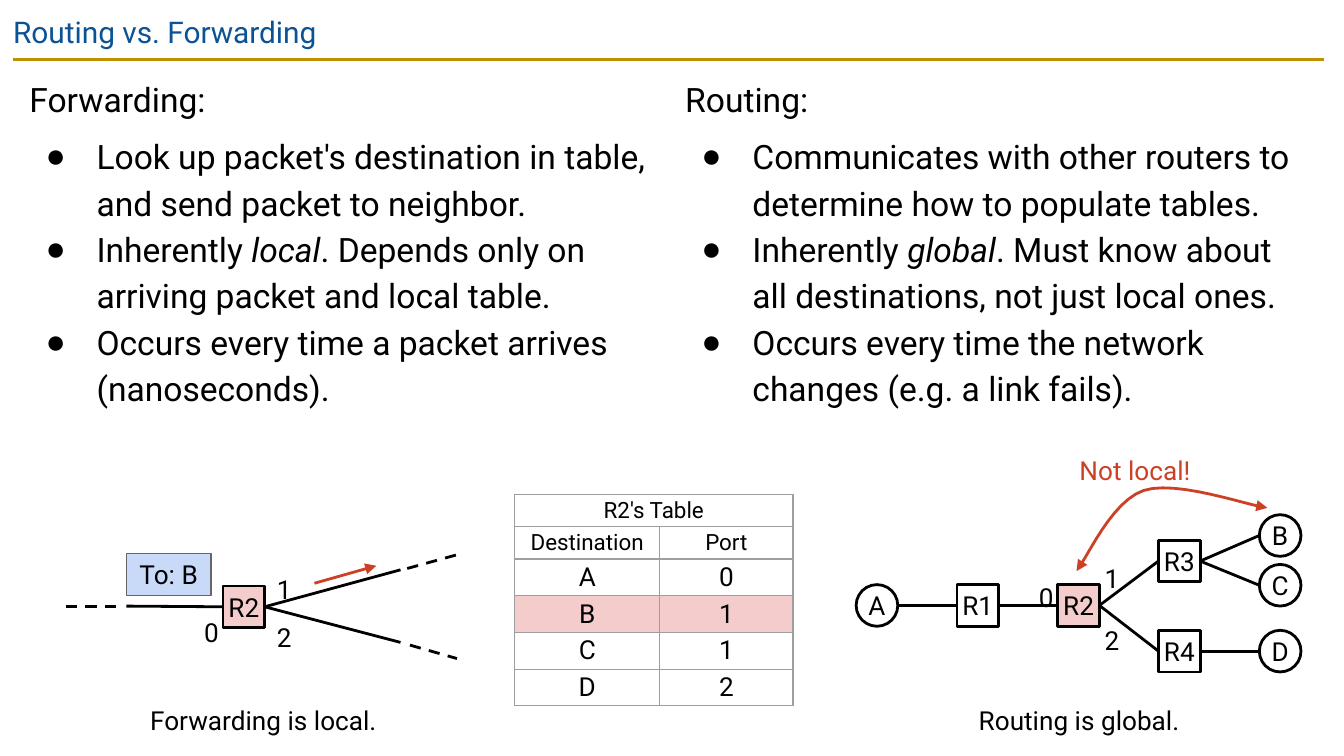
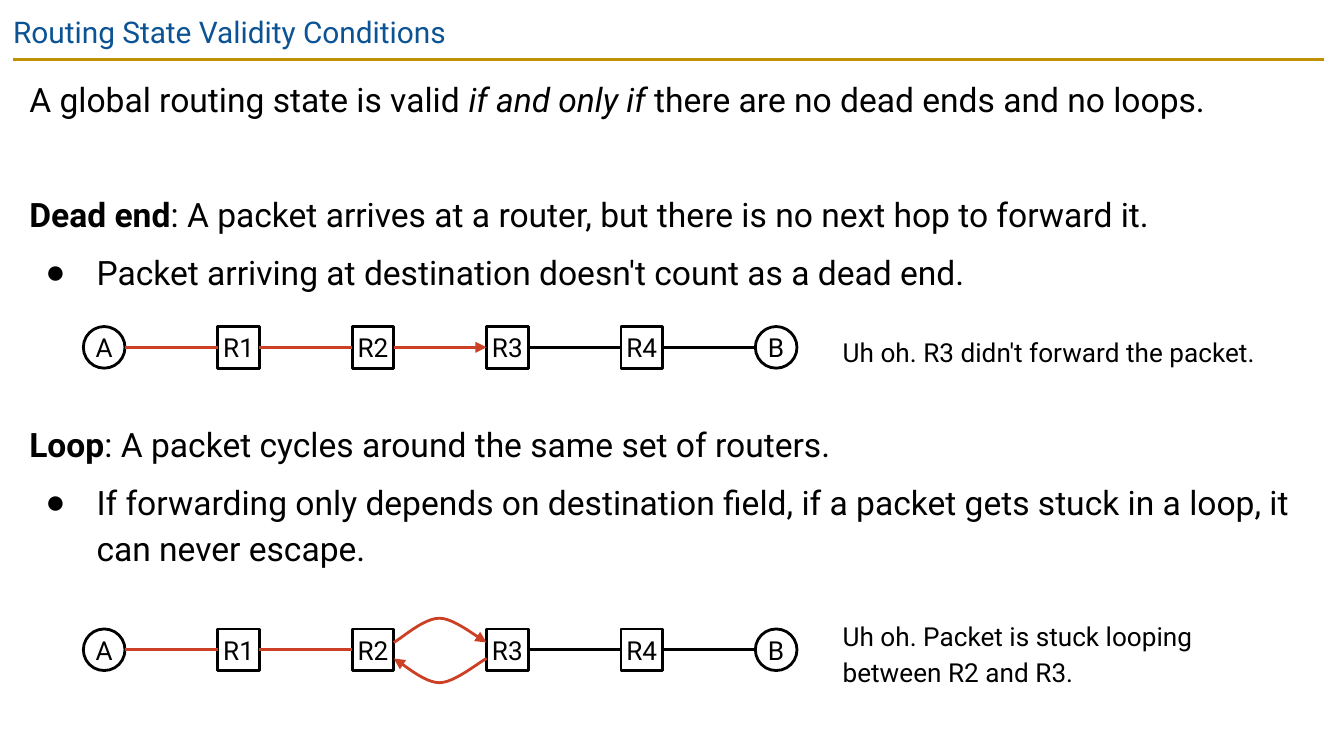
"""Build two slides on routing, forwarding and routing state validity."""
from lxml import etree
from pptx import Presentation
from pptx.dml.color import RGBColor
from pptx.enum.dml import MSO_LINE
from pptx.enum.shapes import MSO_CONNECTOR, MSO_SHAPE
from pptx.enum.text import MSO_ANCHOR, PP_ALIGN
from pptx.oxml.ns import qn
from pptx.util import Inches, Pt

STRAIGHT = MSO_CONNECTOR.STRAIGHT
RECT, OVAL = MSO_SHAPE.RECTANGLE, MSO_SHAPE.OVAL
DASH = MSO_LINE.DASH
TOP, MIDDLE = MSO_ANCHOR.TOP, MSO_ANCHOR.MIDDLE
LEFT, CENTER = PP_ALIGN.LEFT, PP_ALIGN.CENTER
LEFT_SIDE, RIGHT_SIDE = 1, 3

FONT, BULLET_FONT = "Roboto", "Arial"
C = {
    "text": "000000", "title": "0B5394", "rule": "BF9000", "red": "CC4125",
    "pink": "F4CCCC", "blue": "C9DAF8", "white": "FFFFFF", "gray": "666666",
    "border": "9E9E9E",
}
NODE = 0.31


def write(shape, text, size=14, color="text", align=LEFT, anchor=TOP, inset=0,
          spacing=None, before=0, bullet=False, emphasis="italic"):
    """Add a paragraph; parts between asterisks get the emphasis."""
    tf = shape.text_frame
    tf.word_wrap = True
    tf.vertical_anchor = anchor
    tf.margin_left = tf.margin_right = tf.margin_top = tf.margin_bottom = Inches(inset)
    p = tf.add_paragraph() if tf.paragraphs[0].runs else tf.paragraphs[0]
    p.alignment = align
    p.line_spacing = spacing
    p.space_before = Pt(before)
    if bullet:
        pPr = p._p.get_or_add_pPr()
        pPr.set("marL", str(Inches(0.5)))
        pPr.set("indent", str(-Inches(0.38)))
        clr = etree.SubElement(pPr, qn("a:buClr"))
        etree.SubElement(clr, qn("a:srgbClr"), val=C[color])
        etree.SubElement(pPr, qn("a:buFont"), typeface=BULLET_FONT)
        etree.SubElement(pPr, qn("a:buChar"), char="●")
    for i, part in enumerate(text.split("*")):
        if part:
            r = p.add_run()
            r.text = part
            r.font.name = FONT
            r.font.size = Pt(size)
            r.font.color.rgb = RGBColor.from_string(C[color])
            if i % 2:
                setattr(r.font, emphasis, True)


def stroke(shape, color="text", width=1.5, dash=None, head=False, tail=False):
    """Set the outline and arrowheads, and remove the shadow."""
    shape.line.color.rgb = RGBColor.from_string(C[color])
    shape.line.width = Pt(width)
    if dash:
        shape.line.dash_style = dash
    ln = shape.line._get_or_add_ln()
    for tag, wanted in (("a:headEnd", head), ("a:tailEnd", tail)):
        if wanted:
            etree.SubElement(ln, qn(tag), type="triangle")
    etree.SubElement(shape._element.spPr, qn("a:effectLst"))


prs = Presentation()
prs.slide_width = Inches(10)
prs.slide_height = prs.slide_width * 9 // 16
slides = []
for title in ("Routing vs. Forwarding", "Routing State Validity Conditions"):
    s = prs.slides.add_slide(prs.slide_layouts[6])
    rule = s.shapes.add_connector(STRAIGHT, *map(Inches, (0.1, 0.44, 9.85, 0.44)))
    stroke(rule, "rule")
    sp = s.shapes.add_textbox(*map(Inches, (0, 0, 10, 0.43)))
    write(sp, title, size=16, color="title", inset=0.1)
    slides.append(s)
s1, s2 = slides

bodies = [
    (s1, (0.12, 0.44, 4.88, 3.04), [
        ("Forwarding:", 6, False),
        ("Look up packet's destination in table, and send packet to neighbor.", 6, True),
        ("Inherently *local*. Depends only on arriving packet and local table.", 0, True),
        ("Occurs every time a packet arrives (nanoseconds).", 0, True)]),
    (s1, (5, 0.44, 4.88, 3.04), [
        ("Routing:", 6, False),
        ("Communicates with other routers to determine how to populate tables.", 6, True),
        ("Inherently *global*. Must know about all destinations, not just local ones.", 0, True),
        ("Occurs every time the network changes (e.g. a link fails).", 0, True)]),
    (s2, (0.12, 0.44, 9.74, 4.95), [
        ("A global routing state is valid *if and only if* there are no dead ends and no loops.",
         6, False),
        ("*Dead end*: A packet arrives at a router, but there is no next hop to forward it.",
         37, False),
        ("Packet arriving at destination doesn't count as a dead end.", 6, True),
        ("*Loop*: A packet cycles around the same set of routers.", 67.5, False),
        ("If forwarding only depends on destination field, if a packet gets stuck in a loop, "
         "it can never escape.", 6, True)]),
]
for s, box, paragraphs in bodies:
    sp = s.shapes.add_textbox(*map(Inches, box))
    for text, before, bullet in paragraphs:
        write(sp, text, size=18, inset=0.1, spacing=1.15, before=before, bullet=bullet,
              emphasis="bold" if text.startswith("*") else "italic")

chain = ("A", "R1", "R2", "R3", "R4", "B")
dead_end, loop = ({n: (0.62 + i, y) for i, n in enumerate(chain)} for y in (2.43, 4.68))
network = {
    "A": (6.37, 4.35), "R1": (7.12, 4.35), "R2": (7.87, 4.35), "R3": (8.62, 4.02),
    "R4": (8.62, 4.69), "B": (9.37, 3.83), "C": (9.37, 4.2), "D": (9.37, 4.69),
}
network_links = ("A R1", "R1 R2", "R2 R3", "R2 R4", "R3 B", "R3 C", "R4 D")
diagrams = [
    (s1, network, network_links, ()),
    (s2, dead_end, ("R3 R4", "R4 B"), ("A R1", "R1 R2", "R2 R3")),
    (s2, loop, ("R3 R4", "R4 B"), ("A R1", "R1 R2")),
    (s1, {"R2": (1.66, 4.36)}, (), ()),
]
for s, places, links, packet_links in diagrams:
    nodes = {}
    for name, (x, y) in places.items():
        router = name.startswith("R")
        sp = s.shapes.add_shape(RECT if router else OVAL, *map(Inches, (x, y, NODE, NODE)))
        sp.fill.solid()
        fill = "pink" if s is s1 and name == "R2" else "white"
        sp.fill.fore_color.rgb = RGBColor.from_string(C[fill])
        stroke(sp)
        write(sp, name, align=CENTER, anchor=MIDDLE)
        nodes[name] = sp
    for link in (*links, *packet_links):
        a, b = link.split()
        (x1, y1), (x2, y2) = places[a], places[b]
        ends = (x1 + NODE, y1 + NODE / 2, x2, y2 + NODE / 2)
        cxn = s.shapes.add_connector(STRAIGHT, *map(Inches, ends))
        if a.startswith("R"):
            cxn.begin_connect(nodes[a], RIGHT_SIDE)
        if b.startswith("R"):
            cxn.end_connect(nodes[b], LEFT_SIDE)
        red = link in packet_links
        stroke(cxn, "red" if red else "text", tail=red and b == "R3")
local_router = nodes["R2"]

for x, y, side in ((0.94, 4.51, LEFT_SIDE), (2.98, 4.24, RIGHT_SIDE), (2.98, 4.78, RIGHT_SIDE)):
    cxn = s1.shapes.add_connector(STRAIGHT, *map(Inches, (x, y, x, y)))
    cxn.begin_connect(local_router, side)
    stroke(cxn)
for ends in ((0.49, 4.51, 0.87, 4.51), (3.03, 4.23, 3.43, 4.12), (3.05, 4.8, 3.4, 4.9)):
    stroke(s1.shapes.add_connector(STRAIGHT, *map(Inches, ends)), dash=DASH)
arrow = s1.shapes.add_connector(STRAIGHT, *map(Inches, (2.34, 4.34, 2.8, 4.21)))
stroke(arrow, "red", tail=True)

packet = s1.shapes.add_shape(RECT, *map(Inches, (0.94, 4.12, 0.63, 0.31)))
packet.fill.solid()
packet.fill.fore_color.rgb = RGBColor.from_string(C["blue"])
stroke(packet, "gray", 0.75)
write(packet, "To: B", align=CENTER, anchor=MIDDLE)

rows = [("R2's Table", ""), ("Destination", "Port"), ("A", "0"), ("B", "1"), ("C", "1"), ("D", "2")]
table = s1.shapes.add_table(6, 2, *map(Inches, (3.83, 3.68, 2.07, 1.5))).table
table.first_row = table.horz_banding = False
table.columns[0].width, table.columns[1].width = Inches(1.08), Inches(0.99)
table.cell(0, 0).merge(table.cell(0, 1))
for i, row in enumerate(rows):
    table.rows[i].height = Inches(0.23 if i < 2 else 0.26)
    for j, text in enumerate(row):
        cell = table.cell(i, j)
        cell.margin_left = cell.margin_right = 0
        cell.margin_top = cell.margin_bottom = Inches(0.02)
        cell.vertical_anchor = MIDDLE
        for edge in ("a:lnL", "a:lnR", "a:lnT", "a:lnB"):
            ln = etree.SubElement(cell._tc.get_or_add_tcPr(), qn(edge), w=str(Pt(0.75)))
            solid = etree.SubElement(ln, qn("a:solidFill"))
            etree.SubElement(solid, qn("a:srgbClr"), val=C["border"])
        if row[0] == "B":
            cell.fill.solid()
            cell.fill.fore_color.rgb = RGBColor.from_string(C["pink"])
        else:
            cell.fill.background()
        write(cell, text, size=12 if i < 2 else 14, align=CENTER)

labels = [
    (s1, "1", (2.06, 4.23, 0.1, 0.24), LEFT, "text"),
    (s1, "2", (2.06, 4.59, 0.1, 0.24), LEFT, "text"),
    (s1, "0", (1.52, 4.55, 0.1, 0.24), LEFT, "text"),
    (s1, "0", (7.73, 4.29, 0.1, 0.24), LEFT, "text"),
    (s1, "1", (8.22, 4.15, 0.1, 0.24), LEFT, "text"),
    (s1, "2", (8.22, 4.61, 0.1, 0.24), LEFT, "text"),
    (s1, "Forwarding is local.", (0.99, 5.21, 1.94, 0.24), CENTER, "text"),
    (s1, "Routing is global.", (7.06, 5.21, 1.94, 0.24), CENTER, "text"),
    (s1, "Not local!", (8.02, 3.35, 0.85, 0.24), CENTER, "red"),
    (s2, "Uh oh. R3 didn't forward the packet.", (6.27, 2.47, 3.09, 0.24), LEFT, "text"),
    (s2, "Uh oh. Packet is stuck looping between R2 and R3.", (6.27, 4.58, 2.67, 0.51),
     LEFT, "text"),
]
for s, text, box, align, color in labels:
    sp = s.shapes.add_textbox(*map(Inches, box))
    write(sp, text, color=color, align=align, spacing=1.15, before=6)

curves = [
    (s1, [(8.01, 4.25), (8.09, 4.15), (8.27, 3.73), (8.51, 3.65),
          (8.75, 3.57), (9.28, 3.76), (9.43, 3.78)], True, True),
    (s2, [(2.93, 4.78), (2.99, 4.75), (3.15, 4.6), (3.27, 4.6),
          (3.38, 4.6), (3.56, 4.75), (3.62, 4.78)], False, True),
    (s2, [(2.93, 4.9), (2.99, 4.93), (3.15, 5.08), (3.27, 5.08),
          (3.38, 5.08), (3.56, 4.93), (3.62, 4.9)], True, False),
]
STEPS = 12
for s, pts, head, tail in curves:
    curve_points = []
    for k in (0, 3):
        for t in (n / STEPS for n in range(1, STEPS + 1)):
            weights = ((1 - t) ** 3, 3 * t * (1 - t) ** 2, 3 * t * t * (1 - t), t ** 3)
            curve_points.append([Inches(sum(w * pt[axis] for w, pt in zip(weights, pts[k:k + 4])))
                                 for axis in (0, 1)])
    fb = s.shapes.build_freeform(*map(Inches, pts[0]))
    fb.add_line_segments(curve_points, close=False)
    sp = fb.convert_to_shape()
    sp.fill.background()
    stroke(sp, "red", head=head, tail=tail)

prs.save("out.pptx")
